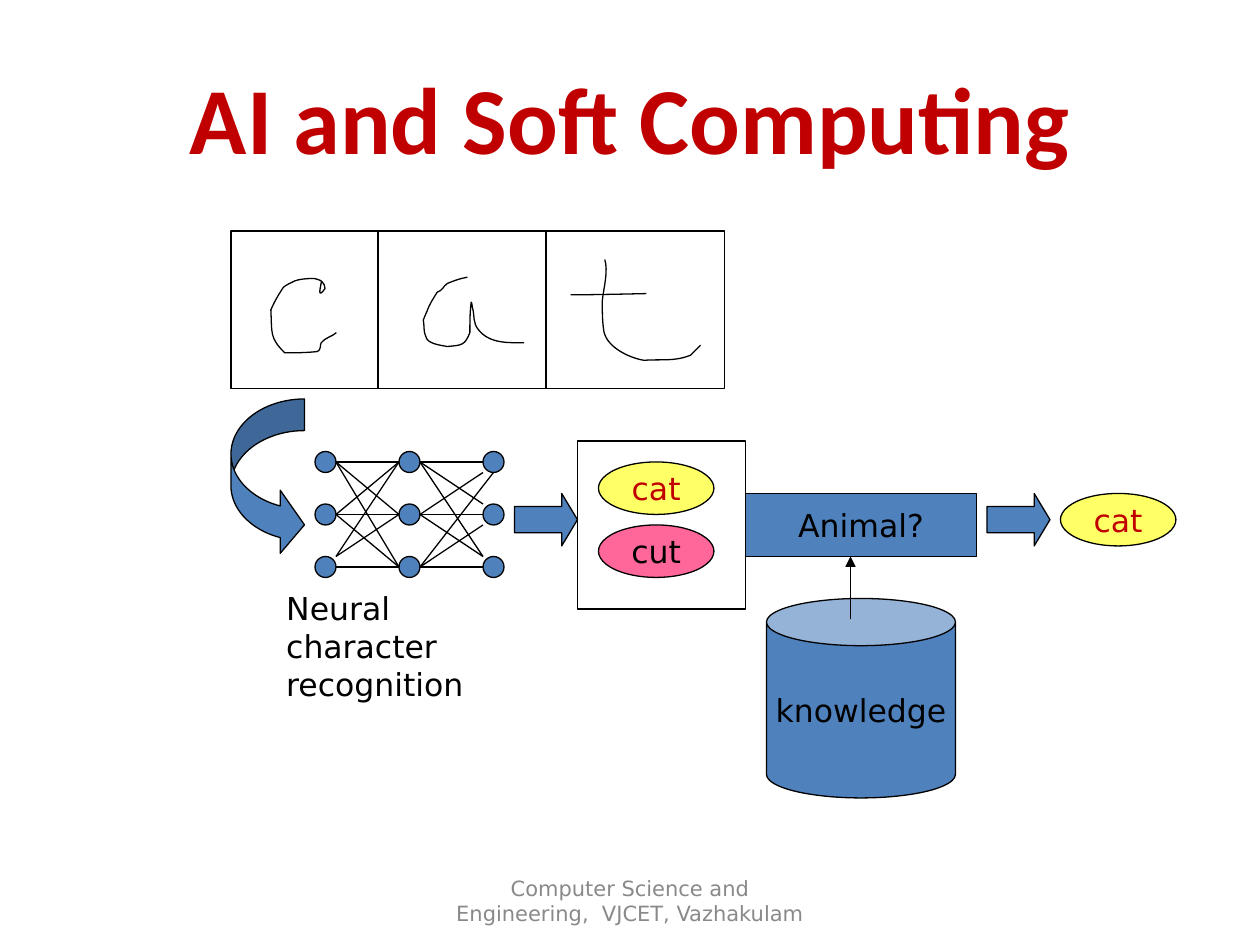
from itertools import product

from lxml import etree
from pptx import Presentation
from pptx import util as u
from pptx.dml.color import RGBColor
from pptx.enum import shapes, text
from pptx.oxml.ns import qn

PX = 3048  # EMU per px, 300 px to the inch
STROKE_UNIT = 3  # px per unit of the handwriting

BLACK = RGBColor(0x00, 0x00, 0x00)
RED = RGBColor(0xC0, 0x00, 0x00)
GREY = RGBColor(0x89, 0x89, 0x89)
BLUE = RGBColor(0x4F, 0x81, 0xBD)
YELLOW = RGBColor(0xFF, 0xFF, 0x66)
PINK = RGBColor(0xFF, 0x66, 0x99)

KIND = shapes.MSO_SHAPE
TITLE = {"size": u.Pt(54), "name": "Calibri", "bold": True}
LABEL = {"size": u.Pt(18), "name": "DejaVu Sans"}
FOOTER = {"size": u.Pt(12), "name": "DejaVu Sans"}

# Handwriting: a start point, then three points for each Bezier curve
LETTER_C = [
    (255, 224),
    (255, 226), (251, 239), (258, 229), (257, 227), (258, 225), (256, 224),
    (255, 222), (249, 221), (249, 221), (248, 221), (236, 221), (232, 224),
    (229, 225), (225, 228), (225, 228), (221, 234), (218, 239), (215, 246),
    (216, 265), (214, 268), (226, 280), (235, 280), (243, 280), (252, 279),
    (255, 278), (254, 273), (255, 272), (258, 268), (264, 267), (267, 264),
]
LETTER_A = [
    (371, 220),
    (365, 221), (360, 223), (355, 225), (351, 228), (352, 230), (347, 232),
    (344, 237), (341, 241), (339, 247), (338, 249), (336, 254), (336, 254),
    (337, 259), (336, 263), (338, 267), (339, 273), (350, 274), (355, 275),
    (367, 274), (369, 274), (373, 264), (373, 256), (373, 248), (374, 240),
    (374, 239), (375, 242), (375, 244), (377, 251), (375, 256), (380, 262),
    (389, 273), (404, 272), (416, 272),
]
LETTER_T = [
    (480, 206),
    (483, 215), (479, 229), (478, 239), (478, 246), (478, 254), (479, 261),
    (480, 275), (499, 284), (511, 286), (527, 285), (535, 287), (548, 282),
    (551, 279), (553, 277), (556, 274),
]
CROSSBAR = [(453, 234), (473, 234), (513, 233), (513, 233)]

# Neural net: column and row positions, and line ends for each source neuron
NEURON_SIZE = 50
NEURON_COLUMNS = (750, 950, 1150)
NEURON_ROWS = (1075, 1200, 1325)
FIRST_LINKS = [
    (800, 1100, [(950, 1100), (950, 1225), (950, 1350)]),
    (800, 1225, [(950, 1100), (950, 1225), (950, 1350)]),
    (800, 1325, [(950, 1100), (950, 1225)]),
    (800, 1350, [(950, 1350)]),
]
SECOND_LINKS = [
    (1000, 1100, [(1150, 1100), (1150, 1200), (1150, 1325)]),
    (1000, 1225, [(1150, 1125), (1150, 1225), (1150, 1325)]),
    (1000, 1350, [(1175, 1125), (1150, 1250), (1150, 1350)]),
]


def emu(*lengths):
    return [length * PX for length in lengths]


def style_shape(shape, fill=None, weight=0.75):
    shape.shadow.inherit = False
    if fill is None:
        shape.fill.background()
    else:
        shape.fill.solid()
        shape.fill.fore_color.rgb = fill
    shape.line.color.rgb = BLACK
    shape.line.width = u.Pt(weight)


def write(frame, lines, font, color, align=text.PP_ALIGN.CENTER,
          anchor=text.MSO_ANCHOR.MIDDLE, wrap=False):
    frame.word_wrap = wrap
    frame.vertical_anchor = anchor
    for index, line in enumerate(lines):
        paragraph = frame.add_paragraph() if index else frame.paragraphs[0]
        paragraph.alignment = align
        run = paragraph.add_run()
        run.text = line
        for name, value in font.items():
            setattr(run.font, name, value)
        run.font.color.rgb = color


def add_figure(slide, kind, box, fill=None, label=None, color=BLACK,
               adjustments=(), weight=0.75):
    shape = slide.shapes.add_shape(kind, *emu(*box))
    style_shape(shape, fill, weight)
    for index, value in enumerate(adjustments):
        shape.adjustments[index] = value
    if label:
        write(shape.text_frame, [label], LABEL, color)


def add_text(slide, box, lines, font, color, **layout):
    textbox = slide.shapes.add_textbox(*emu(*box))
    write(textbox.text_frame, lines, font, color, wrap=True, **layout)


def add_line(slide, start, end, arrow=False):
    line = slide.shapes.add_connector(
        shapes.MSO_CONNECTOR.STRAIGHT, *emu(*start, *end))
    line.line.color.rgb = BLACK
    line.line.width = u.Pt(0.75)
    if arrow:
        etree.SubElement(line.line._get_or_add_ln(), qn("a:tailEnd"),
                         type="triangle")
    etree.SubElement(line._element.spPr, qn("a:effectLst"))


def add_stroke(slide, points):
    builder = slide.shapes.build_freeform(*points[0], scale=STROKE_UNIT * PX)
    builder.add_line_segments(points[1:], close=False)
    shape = builder.convert_to_shape()
    style_shape(shape)
    # Join each three line segments into one Bezier curve
    segments = list(shape._element.iter(qn("a:lnTo")))
    outline = segments[0].getparent()
    for first in range(0, len(segments), 3):
        curve = etree.SubElement(outline, qn("a:cubicBezTo"))
        for segment in segments[first:first + 3]:
            curve.append(segment[0])
            outline.remove(segment)


def main():
    presentation = Presentation()
    presentation.slide_width, presentation.slide_height = emu(3000, 2250)
    slide = presentation.slides.add_slide(presentation.slide_layouts[6])

    # Candidate box and title
    add_figure(slide, KIND.RECTANGLE, (1375, 1050, 400, 400), weight=1)
    add_text(slide, (150, 90, 2700, 375), ["AI and Soft Computing"], TITLE, RED)

    # Handwritten word in three cells
    add_figure(slide, KIND.RECTANGLE, (550, 550, 1175, 375))
    for stroke in (LETTER_C, LETTER_A, LETTER_T, CROSSBAR):
        add_stroke(slide, stroke)
    for x in (900, 1300):
        add_line(slide, (x, 550), (x, 925))

    # Neural net
    for x, y in product(NEURON_COLUMNS, NEURON_ROWS):
        add_figure(slide, KIND.OVAL, (x, y, NEURON_SIZE, NEURON_SIZE), BLUE)
    for x, y, ends in FIRST_LINKS + SECOND_LINKS:
        for end in ends:
            add_line(slide, (x, y), end)

    # Flow arrows
    add_figure(slide, KIND.CURVED_RIGHT_ARROW, (550, 950, 175, 375), BLUE,
               adjustments=(0.43, 0.86, 0.33))
    for x in (1225, 2350):
        add_figure(slide, KIND.RIGHT_ARROW, (x, 1175, 150, 125), BLUE,
                   adjustments=(0.5, 0.3))

    # Candidate words and the result
    for x, y, fill, word, color in ((1425, 1100, YELLOW, "cat", RED),
                                    (1425, 1250, PINK, "cut", BLACK),
                                    (2525, 1175, YELLOW, "cat", RED)):
        add_figure(slide, KIND.OVAL, (x, y, 275, 125), fill, word, color)

    # Knowledge store feeding the check
    add_figure(slide, KIND.CAN, (1825, 1425, 450, 475), BLUE, "knowledge",
               adjustments=(0.25,))
    add_line(slide, (2025, 1475), (2025, 1325), arrow=True)
    add_figure(slide, KIND.RECTANGLE, (1775, 1175, 550, 150), BLUE, "Animal?")

    # Net caption and footer
    add_text(slide, (652, 1388, 650, 210), ["Neural character", "recognition"],
             LABEL, BLACK, align=text.PP_ALIGN.LEFT, anchor=text.MSO_ANCHOR.TOP)
    add_text(slide, (1025, 2085, 950, 120),
             ["Computer Science and Engineering,  VJCET, Vazhakulam"],
             FOOTER, GREY)
    presentation.save("out.pptx")


if __name__ == "__main__":
    main()
